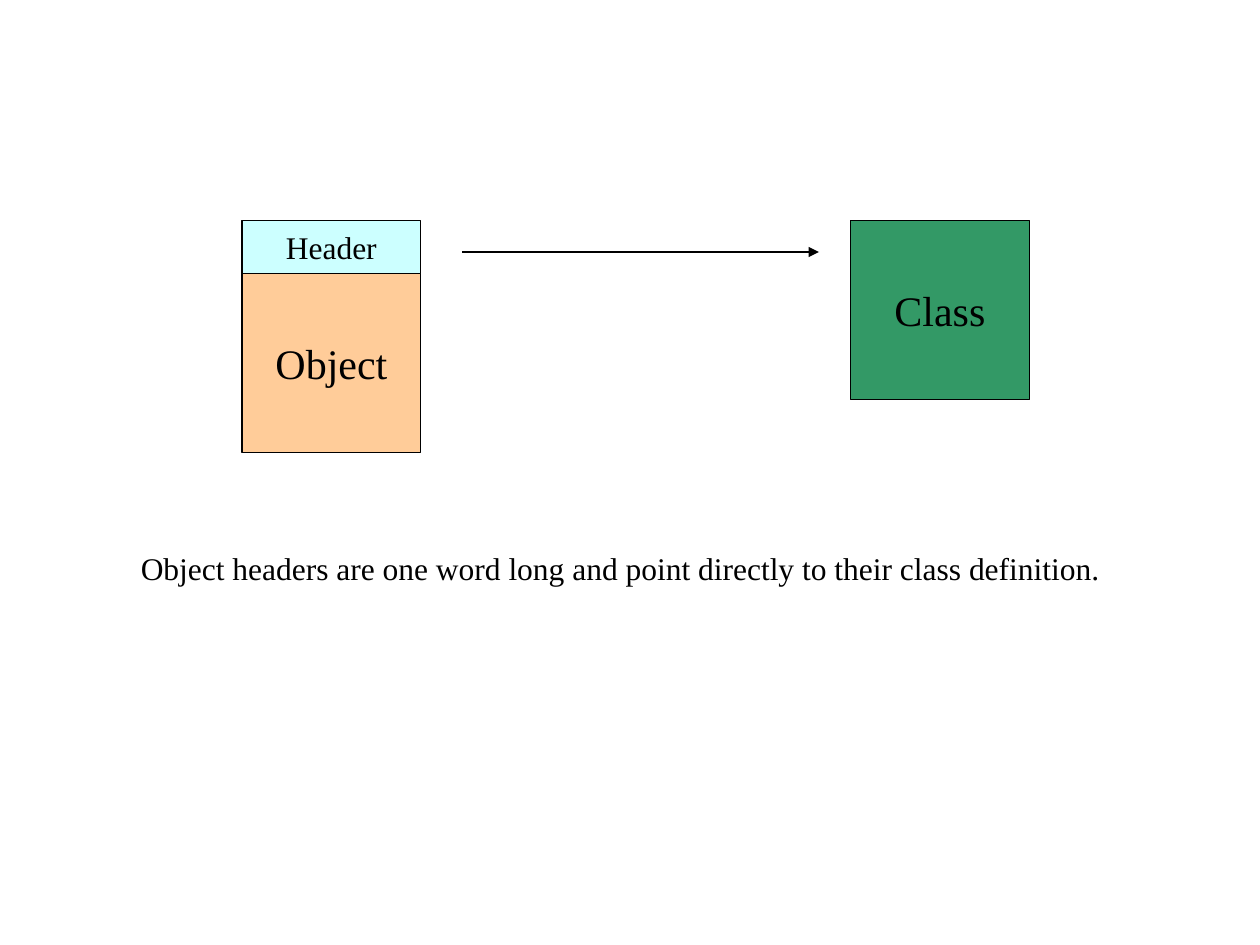
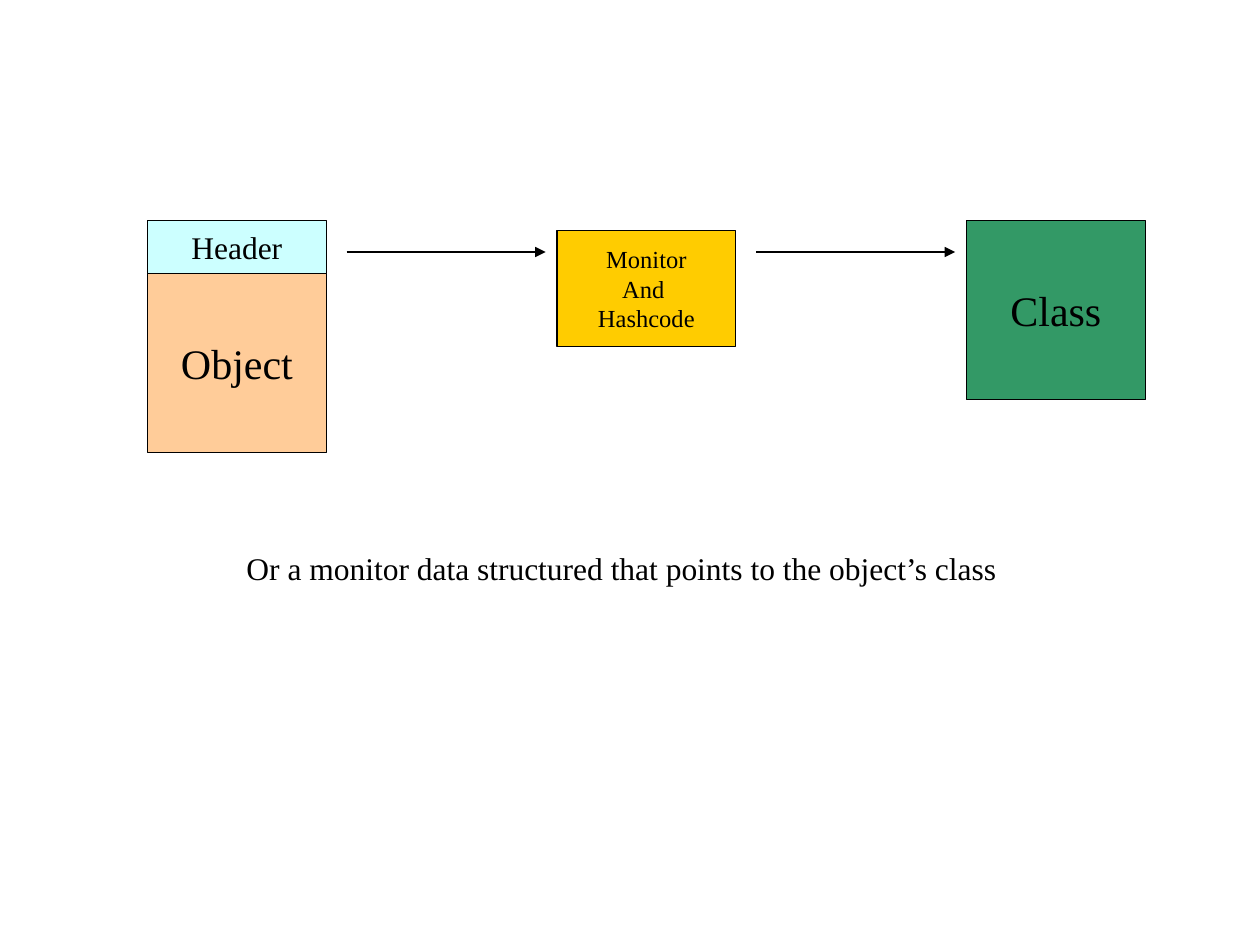
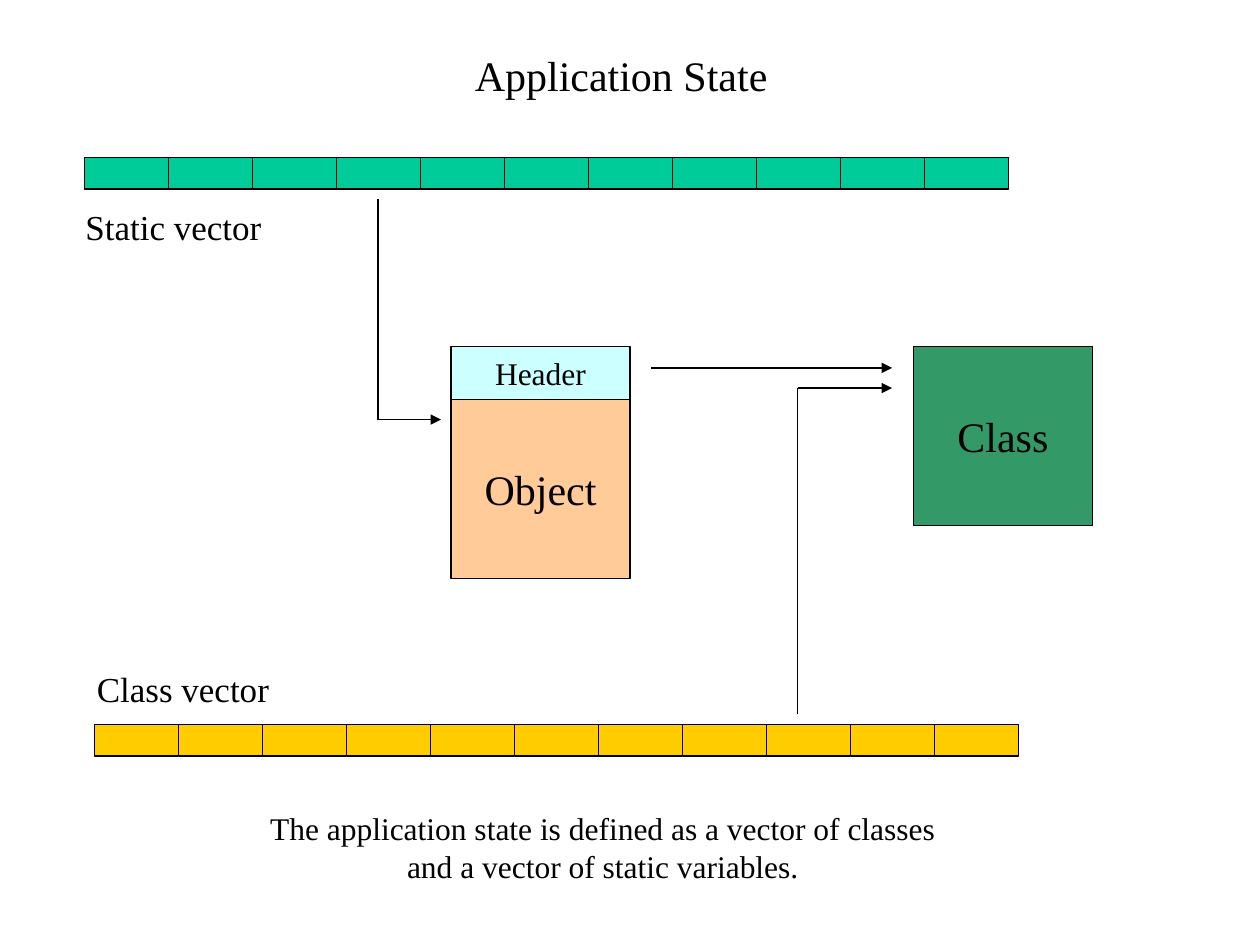
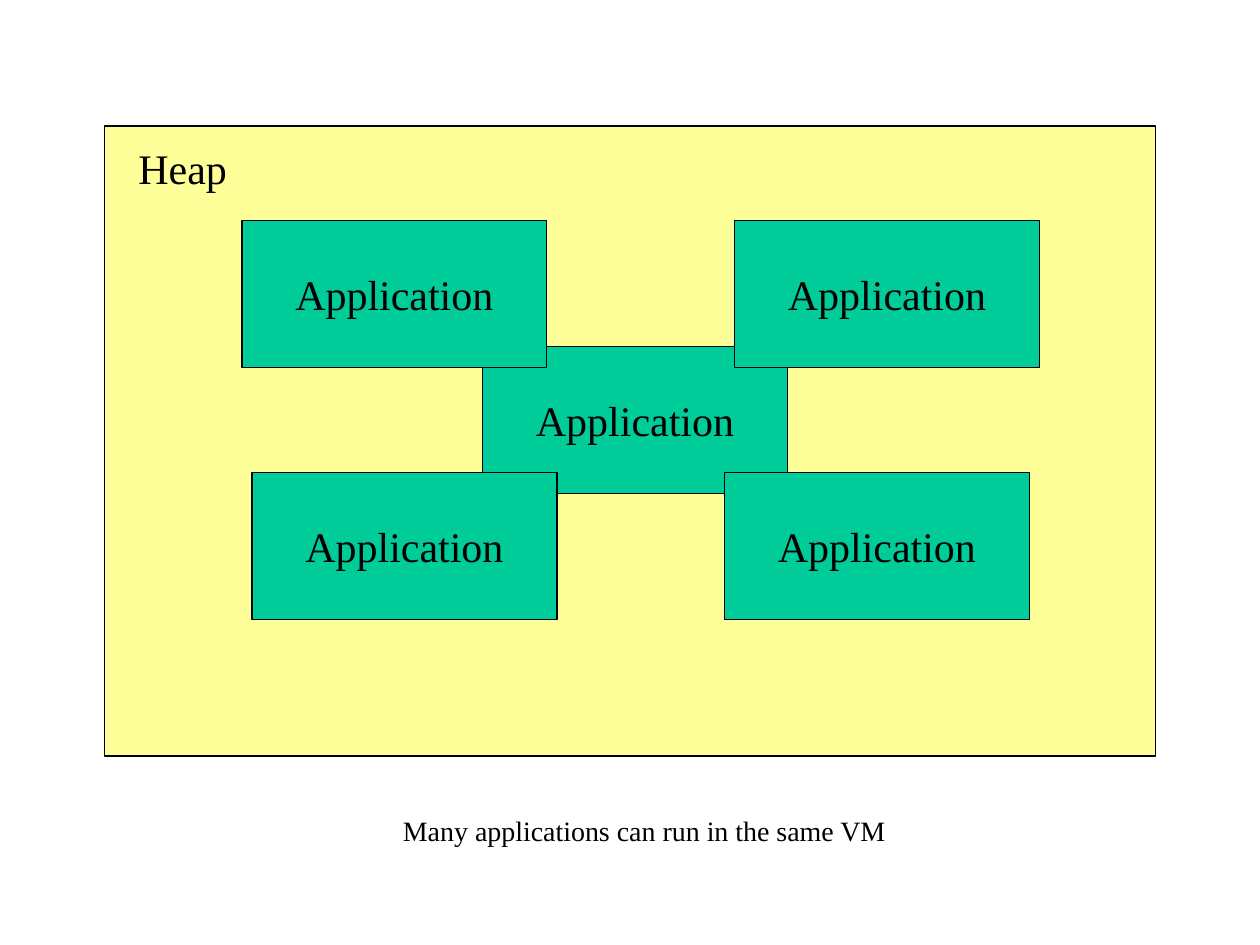
from lxml import etree
from pptx import Presentation
from pptx.dml.color import RGBColor
from pptx.enum.shapes import MSO_CONNECTOR, MSO_SHAPE
from pptx.enum.text import MSO_ANCHOR, MSO_AUTO_SIZE, PP_ALIGN
from pptx.oxml.ns import qn
from pptx.util import Inches, Pt

RECT = MSO_SHAPE.RECTANGLE
STRAIGHT = MSO_CONNECTOR.STRAIGHT
MIDDLE = MSO_ANCHOR.MIDDLE
FIT_SHAPE = MSO_AUTO_SIZE.SHAPE_TO_FIT_TEXT
LEFT, CENTER = PP_ALIGN.LEFT, PP_ALIGN.CENTER

FONT = "Times New Roman"
color = RGBColor.from_string
BLACK, PEACH, CYAN = "000000", "FFCC99", "CCFFFF"
GREEN, TEAL, GOLD, YELLOW = "339966", "00CC99", "FFCC00", "FFFF99"
SIDE = 1.42         # object and class squares
HEADER_H = 0.42


def add_box(s, text, x, y, w, h, size=24, fill=None, align=CENTER):
    """Add a filled, outlined rectangle, or a plain text box without a fill."""
    place = [Inches(v) for v in (x, y, w, h)]
    if fill:
        sp = s.shapes.add_shape(RECT, *place)
        sp.shadow.inherit = False
        sp.fill.solid()
        sp.fill.fore_color.rgb = color(fill)
        sp.line.color.rgb = color(BLACK)
        sp.line.width = Pt(0.75)
    else:
        sp = s.shapes.add_textbox(*place)
    tf = sp.text_frame
    tf.text = text
    tf.word_wrap = False
    if fill:
        tf.vertical_anchor = MIDDLE
    else:
        tf.auto_size = FIT_SHAPE
    for p in tf.paragraphs:
        p.alignment = align
        p.font.name = FONT
        p.font.size = Pt(size)
        p.font.color.rgb = color(BLACK)


def add_line(s, x1, y1, x2, y2, arrow=True):
    """Add a thin black line, with an arrowhead at its end by default."""
    c = s.shapes.add_connector(STRAIGHT, *[Inches(v) for v in (x1, y1, x2, y2)])
    c.line.color.rgb = color(BLACK)
    c.line.width = Pt(0.75)
    if arrow:
        etree.SubElement(c.line._get_or_add_ln(), qn("a:tailEnd"), type="triangle")
    etree.SubElement(c._element.spPr, qn("a:effectLst"))


prs = Presentation()
prs.slide_width, prs.slide_height = Inches(10), Inches(7.5)
slides = [prs.slides.add_slide(prs.slide_layouts[6]) for _ in range(4)]

# Object with header, and its class, on the first three slides
for s, object_x, class_x, y in zip(slides, (1.92, 1.17, 3.58),
                                   (6.75, 7.67, 7.25), (1.75, 1.75, 2.75)):
    add_box(s, "Object", object_x, y + HEADER_H, SIDE, SIDE, fill=PEACH)
    add_box(s, "Header", object_x, y, SIDE, HEADER_H, 18, CYAN)
    add_box(s, "Class", class_x, y, SIDE, SIDE, fill=GREEN)

# Slide 1: header points to class
s = slides[0]
add_line(s, 3.67, 2, 6.5, 2)
add_box(s, "Object headers are one word long and point directly to their class definition.",
        1, 4.31, 7.85, 0.7, 18)

# Slide 2: header points to class through a monitor
s = slides[1]
add_box(s, "Monitor\nAnd \nHashcode", 4.42, 1.83, SIDE, 0.92, 14, GOLD)
for x in (2.75, 6):
    add_line(s, x, 2, x + 1.58, 2)
add_box(s, "Or a monitor data structured that points to the object’s class",
        1.85, 4.31, 6.17, 0.7, 18)

# Slide 3: application state
s = slides[2]
add_box(s, "Application State", 3.67, 0.34, 2.52, 0.5, align=LEFT)
cell_w = 2 / 3
for x, y, fill in ((0.67, 1.25, TEAL), (0.75, 5.75, GOLD)):
    for i in range(11):
        add_box(s, "", x + i * cell_w, y, cell_w, 0.25, fill=fill)
add_box(s, "Static vector", 0.58, 1.58, 1.6, 0.44, 20, align=LEFT)
add_box(s, "Class vector", 0.67, 5.25, 1.57, 0.44, 20, align=LEFT)

# Static vector to object, header to class, class vector to class
add_line(s, 3, 1.58, 3, 3.33, arrow=False)
add_line(s, 3, 3.33, 3.5, 3.33)
add_line(s, 5.17, 2.92, 7.08, 2.92)
add_line(s, 6.33, 5.67, 6.33, 3.08, arrow=False)
add_line(s, 6.33, 3.08, 7.08, 3.08)
add_box(s, "The application state is defined as a vector of classes\n"
        "and a vector of static variables.", 2.04, 6.37, 5.49, 0.7, 18)

# Slide 4: applications sharing the heap
s = slides[3]
add_box(s, "", 0.83, 1, 8.34, 5, fill=YELLOW)
for x, y in ((3.83, 2.75), (1.92, 1.75), (5.83, 1.75), (2, 3.75), (5.75, 3.75)):
    add_box(s, "Application", x, y, 2.42, 1.17, fill=TEAL)
add_box(s, "Heap", 1, 1.08, 0.9, 0.5, align=LEFT)
add_box(s, "Many applications can run in the same VM", 3.1, 6.41, 4.03, 0.37, 16, align=LEFT)

prs.save("out.pptx")
